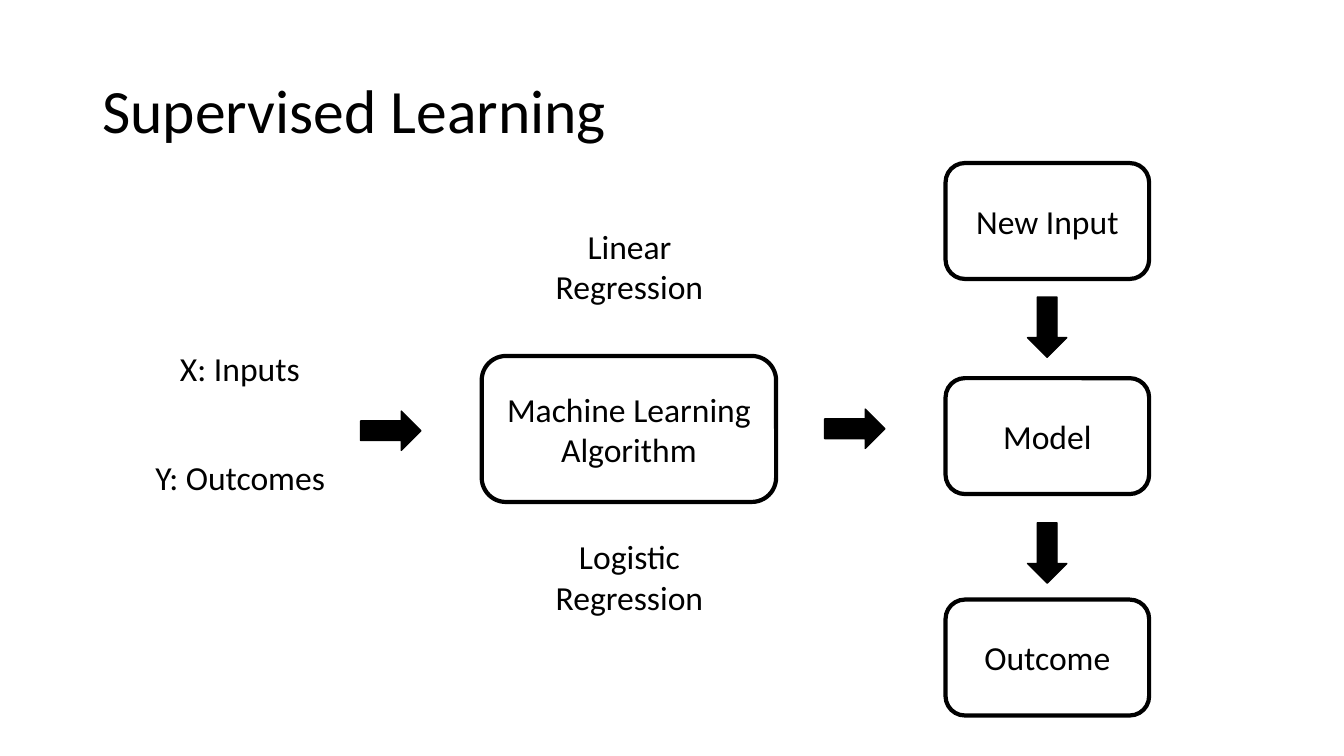
from pptx import Presentation
from pptx import util as u
from pptx.dml import color
from pptx.enum import shapes, text


def paint(target, value):
    target.solid()
    target.fore_color.rgb = color.RGBColor.from_string(value)


def write(shape, words, size=24, align=text.PP_ALIGN.CENTER, anchor=text.MSO_ANCHOR.MIDDLE, spacing=1.0):
    frame = shape.text_frame
    frame.word_wrap = True
    frame.vertical_anchor = anchor
    paragraph = frame.paragraphs[0]
    paragraph.alignment = align
    paragraph.line_spacing = spacing
    run = paragraph.add_run()
    run.text = words
    for name, value in {"name": "Calibri", "size": u.Pt(size)}.items():
        setattr(run.font, name, value)
    paint(run.font.fill, "000000")


presentation = Presentation()
presentation.slide_width = u.Cm(33.87)
presentation.slide_height = u.Cm(19.05)
slide = presentation.slides.add_slide(presentation.slide_layouts[6])

title = slide.shapes.add_textbox(u.Cm(2.33), u.Cm(1.01), u.Cm(29.21), u.Cm(3.68))
write(title, "Supervised Learning", size=44, align=text.PP_ALIGN.LEFT, spacing=0.9)

labels = [
    ("X: Inputs", 3.76, 8.64, 4.57, 1.27),
    ("Y: Outcomes", 2.92, 11.38, 6.27, 1.27),
    ("Linear Regression", 12.73, 5.56, 6.27, 2.31),
    ("Logistic Regression", 12.73, 13.39, 6.27, 2.31),
]
for words, *place in labels:
    label = slide.shapes.add_textbox(*map(u.Cm, place))
    write(label, words, anchor=text.MSO_ANCHOR.TOP)

boxes = [("Machine Learning Algorithm", 12.14, 8.97, 7.42, 3.68)]
for words, top in [("New Input", 4.11), ("Model", 9.53), ("Outcome", 15.11)]:
    boxes.append((words, 23.83, top, 5.13, 2.92))
for words, *place in boxes:
    box = slide.shapes.add_shape(shapes.MSO_SHAPE.ROUNDED_RECTANGLE, *map(u.Cm, place))
    box.shadow.inherit = False
    box.fill.background()
    box.line.width = u.Pt(3)
    paint(box.line.fill, "000000")
    write(box, words)

arrows = [(9.09, 10.36, 0), (20.78, 10.31, 0), (25.63, 7.75, 90), (25.63, 13.44, 90)]
for left, top, rotation in arrows:
    arrow = slide.shapes.add_shape(
        shapes.MSO_SHAPE.RIGHT_ARROW, u.Cm(left), u.Cm(top), u.Cm(1.52), u.Cm(0.99)
    )
    arrow.shadow.inherit = False
    arrow.rotation = rotation
    arrow.line.width = u.Pt(1)
    for target in (arrow.fill, arrow.line.fill):
        paint(target, "000000")

presentation.save("out.pptx")
